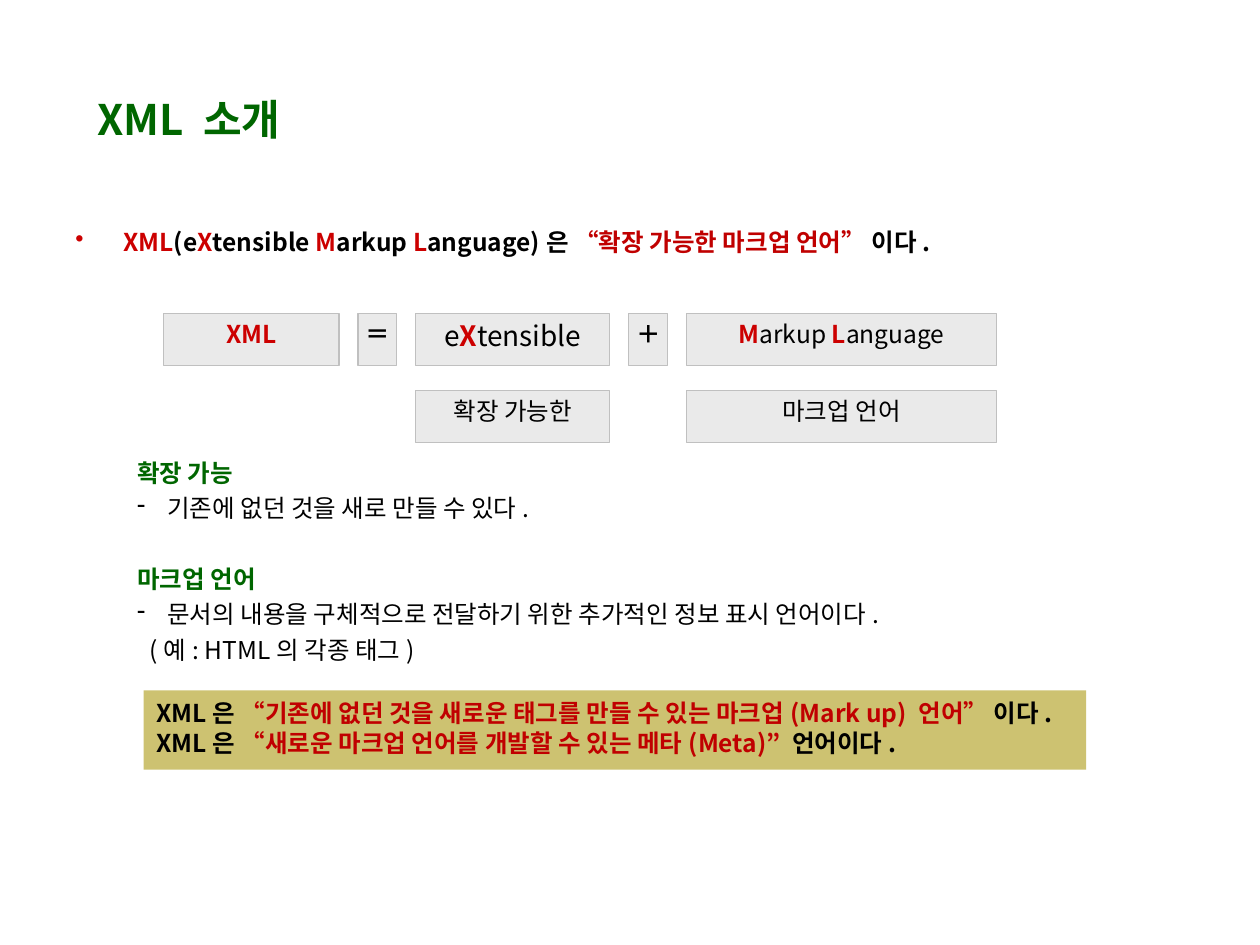
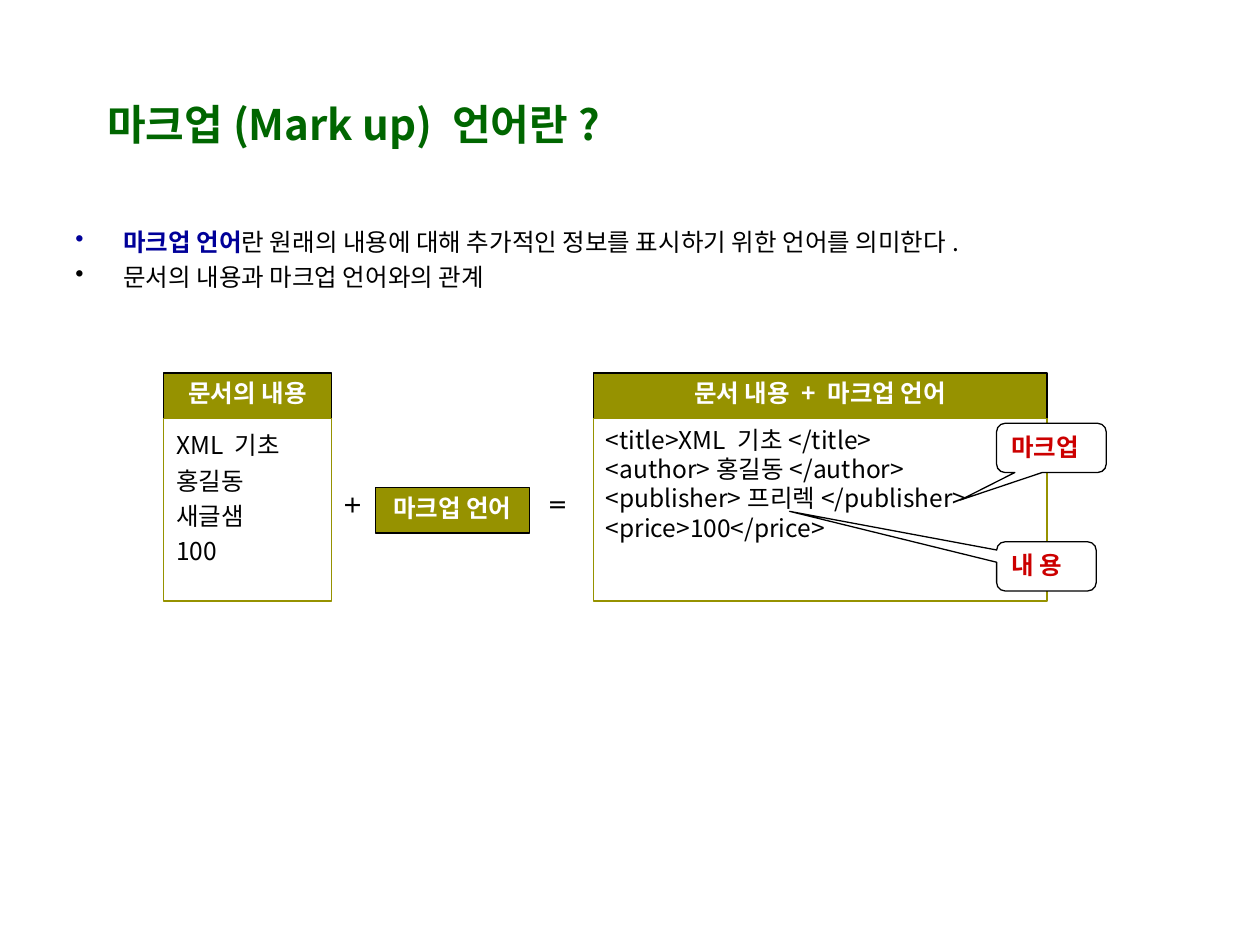
import pptx
import pptx.dml.color
import pptx.enum.shapes
import pptx.enum.text
import pptx.oxml.ns
import pptx.util
from lxml import etree

Inches = pptx.util.Inches
Pt = pptx.util.Pt
RGB = pptx.dml.color.RGBColor
SHAPE = pptx.enum.shapes.MSO_SHAPE
ANCHOR = pptx.enum.text.MSO_ANCHOR
ALIGN = pptx.enum.text.PP_ALIGN
qn = pptx.oxml.ns.qn

BLACK = RGB(0x00, 0x00, 0x00)
WHITE = RGB(0xFF, 0xFF, 0xFF)
GREEN = RGB(0x00, 0x66, 0x00)
BLUE = RGB(0x00, 0x00, 0x99)
RED = RGB(0xCC, 0x00, 0x00)
DARK_RED = RGB(0xC0, 0x00, 0x00)
LIGHT_GREY = RGB(0xEA, 0xEA, 0xEA)
GREY = RGB(0xC0, 0xC0, 0xC0)
OLIVE = RGB(0x96, 0x92, 0x00)
SAND = RGB(0xCD, 0xC2, 0x71)

FONT = "Noto Sans CJK KR"
QUOTE_FONT = "Arial"

PANEL_INSETS = (0.1, 0.05, 0.1, 0.05)
LABEL_INSETS = (0, 0.04, 0, 0)


def set_attrs(obj, values):
    for name, value in values.items():
        setattr(obj, name, value)


def run(text, color=BLACK, bold=False, size=14, font=FONT):
    return {"text": text, "color": color,
            "font": {"name": font, "size": Pt(size), "bold": bold}}


def para(*runs, bullet=None, margin=0, hang=0, **fmt):
    """Describe a paragraph; fmt holds python-pptx paragraph attributes."""
    return {"runs": runs, "bullet": bullet, "margin": margin, "hang": hang, "fmt": fmt}


def set_bullet(p, char, margin, hang, color):
    pPr = p._p.get_or_add_pPr()
    pPr.set("marL", str(Inches(margin)))
    pPr.set("indent", str(-Inches(hang)))
    if char:
        clr = etree.SubElement(pPr, qn("a:buClr"))
        etree.SubElement(clr, qn("a:srgbClr"), val=str(color))
        etree.SubElement(pPr, qn("a:buChar"), char=char)


def write_text(sp, paras, insets=PANEL_INSETS, anchor=ANCHOR.TOP, align=ALIGN.LEFT):
    tf = sp.text_frame
    left, top, right, bottom = map(Inches, insets)
    set_attrs(tf, {"word_wrap": True, "auto_size": pptx.enum.text.MSO_AUTO_SIZE.NONE,
                   "vertical_anchor": anchor,
                   "margin_left": left, "margin_top": top,
                   "margin_right": right, "margin_bottom": bottom})
    for i, item in enumerate(paras):
        p = tf.add_paragraph() if i else tf.paragraphs[0]
        set_bullet(p, item["bullet"], item["margin"], item["hang"],
                   item["runs"][0]["color"])
        set_attrs(p, {"alignment": align, **item["fmt"]})
        for part in item["runs"]:
            r = p.add_run()
            r.text = part["text"]
            set_attrs(r.font, part["font"])
            r.font.color.rgb = part["color"]
            etree.SubElement(r._r.get_or_add_rPr(), qn("a:ea"), typeface=FONT)


def add_titled_slide(prs, title, box):
    s = prs.slides.add_slide(prs.slide_layouts[5])
    sp = s.shapes.title
    set_attrs(sp, dict(zip(("left", "top", "width", "height"), map(Inches, box))))
    write_text(sp, [para(run(title, GREEN, True, 24))], anchor=ANCHOR.MIDDLE)
    return s


def add_text(s, box, paras, **layout):
    sp = s.shapes.add_textbox(*map(Inches, box))
    write_text(sp, paras, **layout)


def add_box(s, box, paras, fill=None, line=None, shape=SHAPE.RECTANGLE, **layout):
    sp = s.shapes.add_shape(shape, *map(Inches, box))
    sp.shadow.inherit = False
    if fill is None:
        sp.fill.background()
    else:
        sp.fill.solid()
        sp.fill.fore_color.rgb = fill
    if line is None:
        sp.line.fill.background()
    else:
        sp.line.color.rgb = line
        sp.line.width = Pt(0.75)
    write_text(sp, paras, **layout)
    return sp


def add_bullets(s, *lines):
    paras = [para(*runs, bullet="•", margin=0.38, hang=0.38,
                  space_before=Pt(3.5 if i else 0)) for i, runs in enumerate(lines)]
    add_text(s, (0.5, 1.75, 9, 4.95), paras)


def add_term(s, left, top, width, *runs):
    """Grey box holding one part of the XML name."""
    add_box(s, (left, top, width, 0.41), [para(*runs)], LIGHT_GREY, GREY,
            insets=LABEL_INSETS, align=ALIGN.CENTER)


def add_olive_label(s, left, top, width, text):
    add_box(s, (left, top, width, 0.36), [para(run(text, WHITE, True))], OLIVE, BLACK,
            insets=LABEL_INSETS, align=ALIGN.CENTER)


def add_panel(s, left, width, heading, lines, spacing):
    add_olive_label(s, left, 2.96, width, heading)
    add_box(s, (left, 3.32, width, 1.45),
            [para(run(line), line_spacing=spacing) for line in lines], line=OLIVE)


def add_operator(s, left, sign):
    add_text(s, (left, 3.87, 0.35, 0.36), [para(run(sign, bold=True, size=12))],
             insets=LABEL_INSETS, align=ALIGN.CENTER)


def add_callout(s, top, width, text, tip):
    sp = add_box(s, (7.91, top, width, 0.39), [para(run(text, RED, True))], WHITE, BLACK,
                 SHAPE.ROUNDED_RECTANGULAR_CALLOUT)
    for i, value in enumerate((*tip, 0.17)):
        sp.adjustments[i] = value


def add_name_equation(s):
    terms = [
        (1.39, [run("XML", RED, True)], None),
        (0.31, [run("＝", bold=True)], None),
        (1.54, [run("e", size=16), run("X", RED, True, 16), run("tensible", size=16)],
         "확장 가능한"),
        (0.31, [run("＋", bold=True)], None),
        (2.46, [run("M", RED, True), run("arkup "), run("L", RED, True), run("anguage")],
         "마크업 언어"),
    ]
    left, gap = 1.3, 0.15
    for width, runs, meaning in terms:
        add_term(s, left, 2.49, width, *runs)
        if meaning:
            add_term(s, left, 3.1, width, run(meaning))
        left += width + gap


def add_intro_slide(prs):
    s = add_titled_slide(prs, "XML 소개", (0.67, 0.6, 5.99, 0.69))
    open_quote = run("“", DARK_RED, True, font=QUOTE_FONT)
    close_quote = run("” ", DARK_RED, True, font=QUOTE_FONT)
    ending = run("이다.", bold=True)
    pieces = [("XML", RED), ("(e", BLACK), ("X", RED), ("tensible ", BLACK), ("M", RED),
              ("arkup ", BLACK), ("L", RED), ("anguage)은 ", BLACK)]
    add_bullets(s, [*(run(text, color, True) for text, color in pieces), open_quote,
                    run("확장 가능한 마크업 언어", DARK_RED, True), close_quote, ending])
    add_name_equation(s)

    dash = {"bullet": "-", "margin": 0.24, "hang": 0.24, "line_spacing": 1.2}
    add_text(s, (0.99, 3.54, 6.54, 1.78), [
        para(run("확장 가능", GREEN, True), line_spacing=1.2),
        para(run("기존에 없던 것을 새로 만들 수 있다."), **dash),
        para(run("마크업 언어", GREEN, True), line_spacing=1.2, space_before=Pt(20.3)),
        para(run("문서의 내용을 구체적으로 전달하기 위한 추가적인 정보 표시 언어이다."), **dash),
        para(run("(예: HTML의 각종 태그)"), margin=0.1, line_spacing=1.2),
    ], anchor=ANCHOR.MIDDLE)

    subject = run("XML은 ", bold=True)
    add_box(s, (1.14, 5.48, 7.48, 0.63), [
        para(subject, open_quote,
             run("기존에 없던 것을 새로운 태그를 만들 수 있는 마크업(Mark up) 언어",
                 DARK_RED, True),
             close_quote, ending),
        para(subject,
             run("“새로운 마크업 언어를 개발할 수 있는 메타(Meta)” ", DARK_RED, True),
             run("언어이다.", bold=True)),
    ], SAND, insets=(0.1, 0, 0.1, 0.04), anchor=ANCHOR.MIDDLE)


def add_markup_slide(prs):
    s = add_titled_slide(prs, "마크업(Mark up) 언어란?", (0.75, 0.68, 5.76, 0.61))
    add_bullets(
        s,
        [run("마크업 언어", BLUE, True),
         run("란 원래의 내용에 대해 추가적인 정보를 표시하기 위한 언어를 의미한다.")],
        [run("문서의 내용과 마크업 언어와의 관계")])
    add_panel(s, 1.3, 1.33, "문서의 내용", ["XML 기초", "홍길동", "새글샘", "100"], 1.2)
    add_operator(s, 2.63, "＋")
    add_olive_label(s, 2.98, 3.87, 1.22, "마크업 언어")
    add_operator(s, 4.25, "＝")
    add_panel(s, 4.71, 3.6, "문서 내용 + 마크업 언어", [
        "<title>XML 기초</title>",
        "<author>홍길동</author>",
        "<publisher>프리렉</publisher>",
        "<price>100</price>",
    ], 1.0)
    add_callout(s, 3.36, 0.87, "마크업", (-0.83, 1.06))
    add_callout(s, 4.3, 0.79, "내 용", (-2.58, -1.12))


def main():
    prs = pptx.Presentation()
    set_attrs(prs, {"slide_width": Inches(10), "slide_height": Inches(7.5)})
    add_intro_slide(prs)
    add_markup_slide(prs)
    prs.save("out.pptx")


if __name__ == "__main__":
    main()
